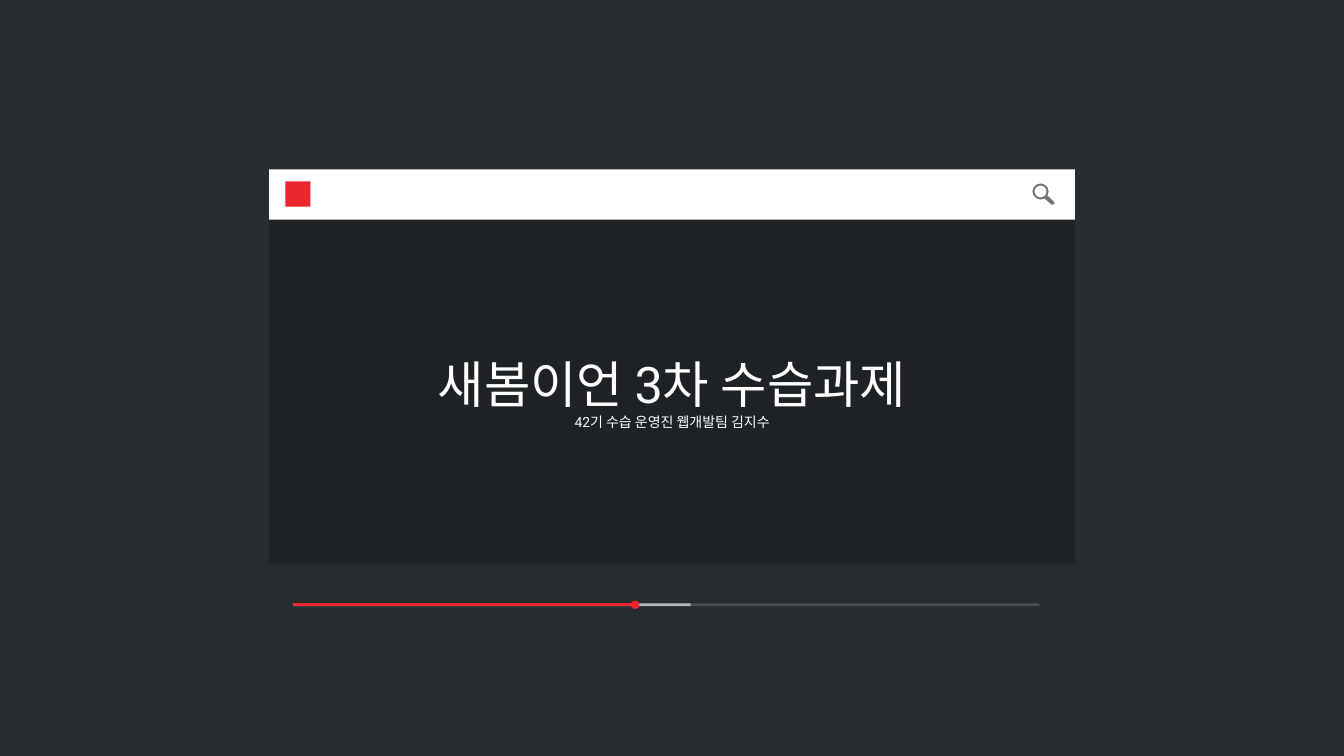
from math import cos, radians, sin

from pptx import Presentation
from pptx.dml.color import RGBColor
from pptx.enum.shapes import MSO_CONNECTOR, MSO_SHAPE
from pptx.enum.text import MSO_ANCHOR, MSO_AUTO_SIZE, PP_ALIGN
from pptx.oxml.ns import qn
from pptx.util import Inches, Pt
from lxml.etree import SubElement

BACKDROP = RGBColor(0x27, 0x2C, 0x2F)
PANEL = RGBColor(0x1E, 0x22, 0x24)
WHITE = RGBColor(0xFF, 0xFF, 0xFF)
RED = RGBColor(0xEA, 0x25, 0x2E)
GRAY = RGBColor(0x76, 0x71, 0x71)
FONT = "Roboto"


def paint(sp, color):
    """Give a shape a plain fill without line or shadow."""
    sp.shadow.inherit = False
    sp.fill.solid()
    sp.fill.fore_color.rgb = color
    sp.line.fill.background()


def add_rect(s, x, y, w, h, color):
    """Add a plain rectangle."""
    sp = s.shapes.add_shape(MSO_SHAPE.RECTANGLE, Inches(x), Inches(y), Inches(w), Inches(h))
    paint(sp, color)


def add_magnifier(s, x, y):
    """Draw a search icon whose lens is centred on x, y."""
    def arc(radius, start, end, step):
        return [(radius * cos(radians(a)), radius * sin(radians(a)))
                for a in range(start, end + 1, step)]

    handle = [(0.13, 0.1), (0.14, 0.12), (0.12, 0.13), (0.11, 0.13)]
    outer = arc(0.08, 60, 390, 30) + handle
    lens = arc(0.06, 0, 330, 30)
    outer, lens = ([(Inches(x + dx), Inches(y + dy)) for dx, dy in pts] for pts in (outer, lens))
    fb = s.shapes.build_freeform(*outer[0])
    fb.add_line_segments(outer[1:], close=True)
    fb.move_to(*lens[0])
    fb.add_line_segments(lens[1:], close=True)
    paint(fb.convert_to_shape(), GRAY)


def add_search_bar(s, x, y, w, h):
    """Draw the white bar with its mark and search icon."""
    add_rect(s, x, y, w, h, WHITE)
    add_rect(s, x + 0.16, y + 0.12, 0.25, 0.25, RED)
    add_magnifier(s, x + w - 0.34, y + 0.22)


def add_progress(s, x, y, w):
    """Draw the track, the buffered part and the played part."""
    for length, color, alpha in ((w, WHITE, 16), (3.94, WHITE, 60), (3.39, RED, 100)):
        line = s.shapes.add_connector(MSO_CONNECTOR.STRAIGHT, Inches(x), Inches(y),
                                      Inches(x + length), Inches(y))
        line.line.width = Pt(2)
        line.line.color.rgb = color
        spPr = line._element.spPr
        SubElement(spPr, qn("a:effectLst"))
        if alpha < 100:
            clr = spPr.find(".//" + qn("a:srgbClr"))
            SubElement(clr, qn("a:alpha"), val=str(alpha * 1000))
        else:
            SubElement(spPr.find(qn("a:ln")), qn("a:tailEnd"), type="oval")


def add_screen(s, x, y, w, h):
    """Turn the title into the dark screen with two centred lines."""
    sp = s.shapes.title
    sp.left, sp.top, sp.width, sp.height = (Inches(v) for v in (x, y, w, h))
    sp.fill.solid()
    sp.fill.fore_color.rgb = PANEL
    tf = sp.text_frame
    tf.word_wrap = True
    tf.auto_size = MSO_AUTO_SIZE.NONE
    tf.vertical_anchor = MSO_ANCHOR.MIDDLE
    lines = (("새봄이언 3차 수습과제", 36), ("42기 수습 운영진 웹개발팀 김지수", 10))
    for i, (text, size) in enumerate(lines):
        p = tf.add_paragraph() if i else tf.paragraphs[0]
        p.alignment = PP_ALIGN.CENTER
        r = p.add_run()
        r.text = text
        r.font.name = FONT
        r.font.size = Pt(size)
        r.font.color.rgb = WHITE


def main():
    """Build the cover slide."""
    prs = Presentation()
    prs.slide_width, prs.slide_height = Inches(13.33), Inches(7.5)
    s = prs.slides.add_slide(prs.slide_layouts[5])
    s.background.fill.solid()
    s.background.fill.fore_color.rgb = BACKDROP
    add_search_bar(s, 2.67, 1.68, 7.99, 0.5)
    add_progress(s, 2.91, 6, 7.4)
    add_screen(s, 2.67, 2.18, 7.99, 3.41)
    prs.save("out.pptx")


if __name__ == "__main__":
    main()
